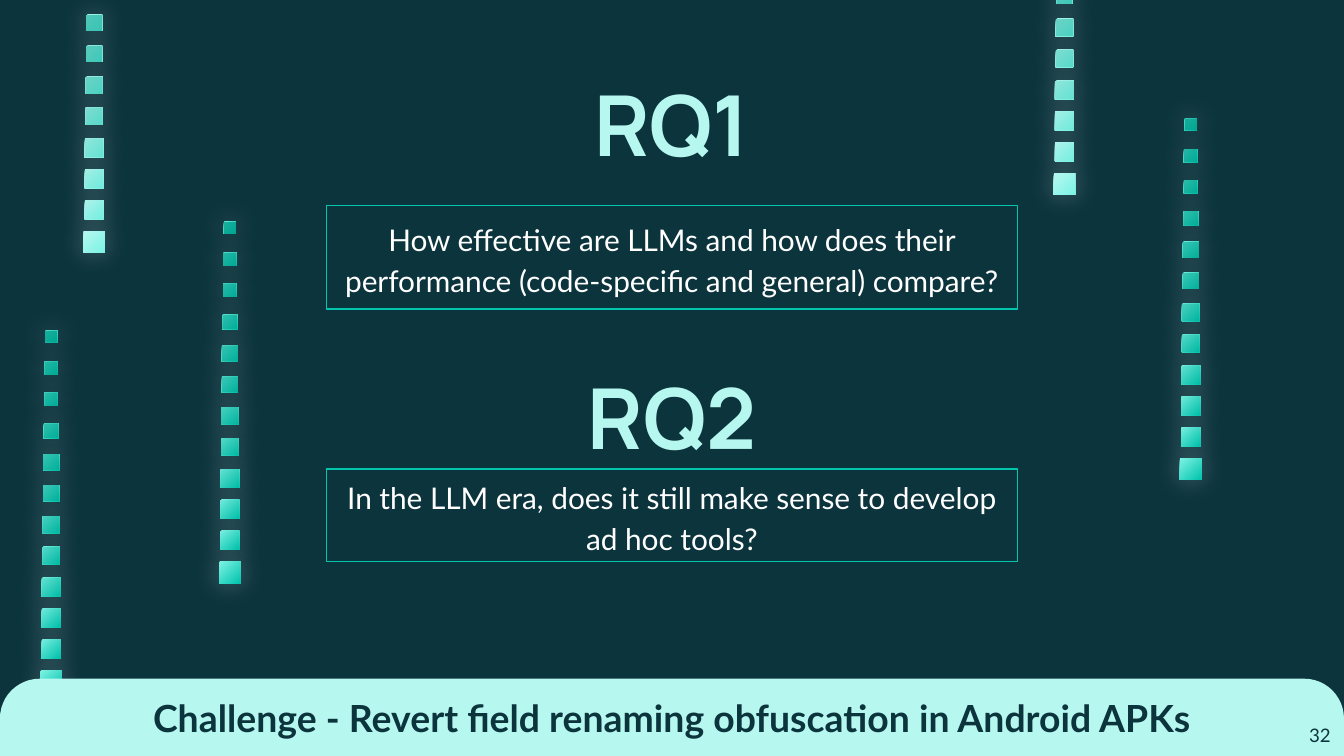
from lxml.etree import SubElement
from pptx import Presentation
from pptx.dml.color import RGBColor
from pptx.enum.shapes import MSO_SHAPE as Shape
from pptx.enum.text import MSO_ANCHOR as Anchor, MSO_AUTO_SIZE as AutoSize, PP_ALIGN as Align
from pptx.oxml.ns import qn
from pptx.util import Inches, Pt

MINT, AQUA, TEAL, TINT = "B6F8F0", "7DF3E5", "02C5AE", "009F8C"
NAVY, WHITE = "0C343D", "FFFFFF"


def paint(target, colour):
    target.rgb = RGBColor.from_string(colour)


def write(box, text, size, colour, font="Lato", bold=False, align=Align.CENTER,
          anchor=Anchor.TOP, spacing=1.0, inset=0.1, inset_y=0.1):
    frame = box.text_frame
    frame.word_wrap = True
    frame.auto_size = AutoSize.NONE
    frame.vertical_anchor = anchor
    frame.margin_left = frame.margin_right = Inches(inset)
    frame.margin_top = frame.margin_bottom = Inches(inset_y)
    paragraph = frame.paragraphs[0]
    paragraph.alignment = align
    paragraph.line_spacing = spacing
    run = paragraph.add_run()
    run.text = text
    run.font.name = font
    run.font.size = Pt(size)
    run.font.bold = bold
    paint(run.font.color, colour)


prs = Presentation()
prs.slide_width, prs.slide_height = Inches(10), Inches(10 * 9 / 16)
slide = prs.slides.add_slide(prs.slide_layouts[5])
slide.background.fill.solid()
paint(slide.background.fill.fore_color, NAVY)
shapes = slide.shapes

square_sizes = [0.16, 0.14, 0.14, 0.14, 0.13, 0.13, 0.12, 0.12, 0.11, 0.1, 0.1, 0.09]
tint_opacity = [0, 5, 10, 20, 30, 40, 50, 55, 60, 65, 70, 80]
square_step = 0.23
trails = [
    (0.38, 4.99, 12, AQUA, TEAL),
    (0.7, 1.72, 8, MINT, AQUA),
    (1.71, 4.18, 12, AQUA, TEAL),
    (7.92, 1.29, 7, MINT, AQUA),
    (8.86, 3.41, 12, AQUA, TEAL),
]
for center, lowest, count, light, dark in trails:
    trail = shapes.add_group_shape()
    for layer in ("glow", "tint"):
        for i in range(layer == "tint", count):
            size = square_sizes[i]
            square = trail.shapes.add_shape(
                Shape.RECTANGLE, Inches(center - size / 2), Inches(lowest - i * square_step),
                Inches(size), Inches(size))
            square.line.fill.background()
            square.shadow.inherit = False
            if layer == "glow":
                square.fill.gradient()
                square.fill.gradient_angle = 315
                for stop, colour in zip(square.fill.gradient_stops, (light, dark)):
                    paint(stop.color, colour)
                effects = square._element.spPr.find(qn("a:effectLst"))
                glow = SubElement(effects, qn("a:outerShdw"), blurRad=str(Pt(14.6)),
                                  dist="0", dir="0", algn="ctr", rotWithShape="0")
                tone = SubElement(glow, qn("a:srgbClr"), val=WHITE)
                SubElement(tone, qn("a:alpha"), val="31000")
            else:
                square.fill.solid()
                paint(square.fill.fore_color, TINT)
                tone = square._element.spPr.find(qn("a:solidFill"))[0]
                SubElement(tone, qn("a:alpha"), val=str(tint_opacity[i] * 1000))

left, width = Inches(2.43), Inches(5.14)
second_heading = shapes.add_textbox(left, Inches(2.73), width, Inches(0.84))
headings = [(shapes.title, "RQ1", 0.55), (second_heading, "RQ2", 2.73)]
for heading, label, top in headings:
    heading.left, heading.top = left, Inches(top)
    heading.width, heading.height = width, Inches(0.84)
    write(heading, label, 45, MINT, font="Manrope", bold=True, anchor=Anchor.BOTTOM)

questions = [
    (1.53, 0.77, "How effective are LLMs and how does their performance "
                 "(code-specific and general) compare?"),
    (3.49, 0.69, "In the LLM era, does it still make sense to develop ad hoc tools?"),
]
for top, height, wording in questions:
    question = shapes.add_shape(Shape.RECTANGLE, left, Inches(top), width, Inches(height))
    question.shadow.inherit = False
    question.fill.background()
    paint(question.line.color, TEAL)
    question.line.width = Pt(0.75)
    write(question, wording, 16, WHITE, anchor=Anchor.MIDDLE, spacing=1.15)

banner = shapes.add_shape(Shape.ROUND_2_SAME_RECTANGLE, 0, Inches(5.05), Inches(10), Inches(0.59))
banner.adjustments[0] = 0.5
banner.shadow.inherit = False
banner.fill.solid()
paint(banner.fill.fore_color, MINT)
banner.line.fill.background()

challenge = shapes.add_textbox(0, Inches(5.12), Inches(10), Inches(0.44))
write(challenge, "Challenge - Revert field renaming obfuscation in Android APKs",
      20, NAVY, bold=True, inset_y=0.05)

page_number = shapes.add_textbox(Inches(9.39), Inches(5.26), Inches(0.61), Inches(0.36))
write(page_number, "32", 10, NAVY, align=Align.RIGHT, spacing=1.15)

prs.save("out.pptx")
